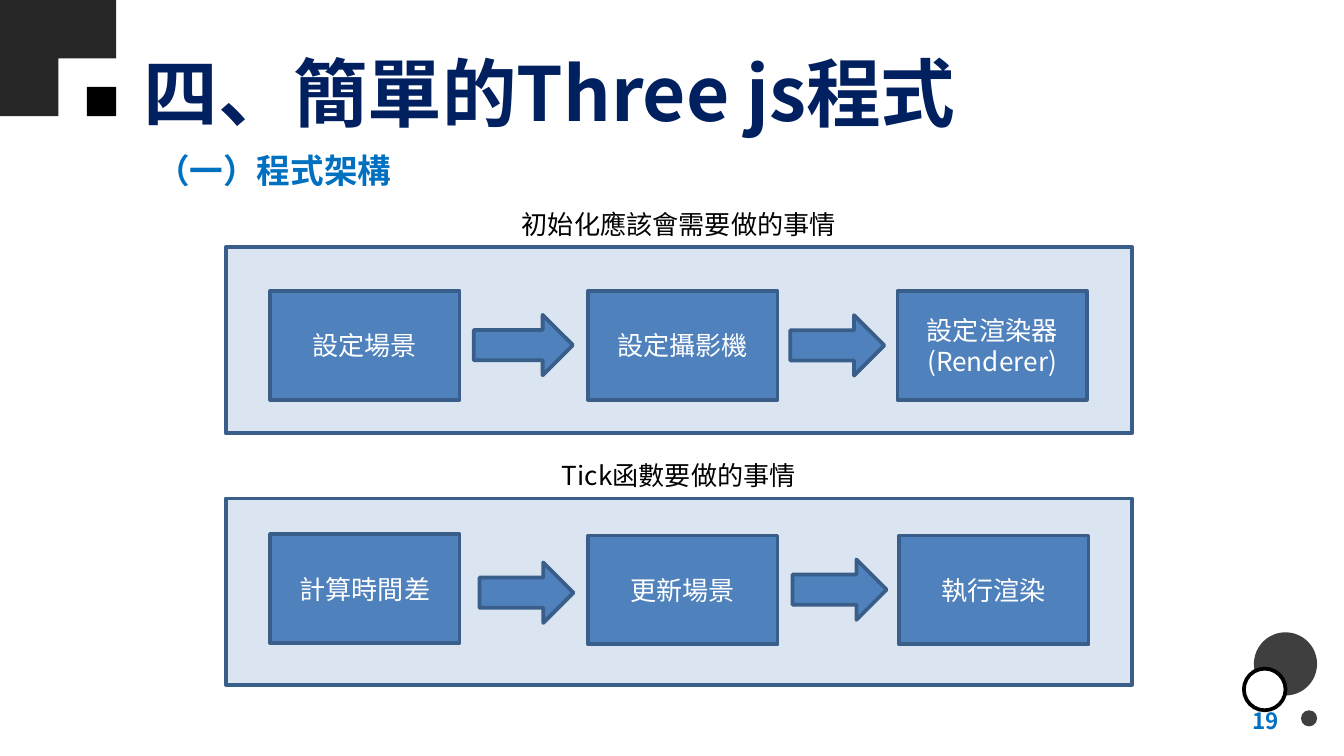
from dataclasses import dataclass

from lxml import etree
from pptx import Presentation
from pptx import util as u
from pptx.dml.color import RGBColor
from pptx.enum import shapes, text
from pptx.oxml.ns import qn
from pptx.shapes.autoshape import Shape
from pptx.slide import Slide

PX = 2286  # EMU per px, 400 px to the inch
FONT = "Noto Sans CJK TC"

NAVY = RGBColor(0x00, 0x20, 0x60)
BLUE = RGBColor(0x00, 0x70, 0xC0)
STEP_BLUE = RGBColor(0x4F, 0x81, 0xBD)
EDGE_BLUE = RGBColor(0x39, 0x5E, 0x89)
PANEL_BLUE = RGBColor(0xDA, 0xE5, 0xF1)
CHARCOAL = RGBColor(0x26, 0x26, 0x26)
GREY = RGBColor(0x3F, 0x3F, 0x3F)
BLACK = RGBColor(0x00, 0x00, 0x00)
WHITE = RGBColor(0xFF, 0xFF, 0xFF)

RECT = shapes.MSO_SHAPE.RECTANGLE
OVAL = shapes.MSO_SHAPE.OVAL
ARROW = shapes.MSO_SHAPE.RIGHT_ARROW
LEFT, CENTER, RIGHT = text.PP_ALIGN.LEFT, text.PP_ALIGN.CENTER, text.PP_ALIGN.RIGHT
TOP, MIDDLE = text.MSO_ANCHOR.TOP, text.MSO_ANCHOR.MIDDLE


@dataclass(frozen=True)
class Frame:
    left: int
    top: int
    width: int
    height: int

    def emu(self) -> list[int]:
        return [n * PX for n in (self.left, self.top, self.width, self.height)]


@dataclass(frozen=True)
class Style:
    size: int
    color: RGBColor
    bold: bool = False
    align: text.PP_ALIGN = LEFT
    anchor: text.MSO_ANCHOR = MIDDLE


@dataclass(frozen=True)
class Step:
    left: int
    top: int
    label: str


@dataclass(frozen=True)
class Flow:
    caption: str
    panel_top: int
    steps: tuple[Step, ...]
    arrows: tuple[Frame, ...]


STEP_STYLE = Style(14, WHITE, align=CENTER)
CAPTION_STYLE = Style(14, BLACK, align=CENTER, anchor=TOP)

FLOWS = (
    Flow("初始化應該會需要做的事情", 736,
         (Step(804, 866, "設定場景"), Step(1750, 866, "設定攝影機"),
          Step(2671, 866, "設定渲染器\n(Renderer)")),
         (Frame(1410, 937, 295, 180), Frame(2352, 938, 280, 180))),
    Flow("Tick函數要做的事情", 1484,
         (Step(804, 1590, "計算時間差"), Step(1750, 1594, "更新場景"),
          Step(2676, 1594, "執行渲染")),
         (Frame(1427, 1674, 280, 180), Frame(2359, 1665, 280, 180))),
)


def write(box: Shape, words: str, style: Style) -> None:
    frame = box.text_frame
    frame.text = words
    frame.word_wrap = True
    frame.vertical_anchor = style.anchor
    for para in frame.paragraphs:
        para.alignment = style.align
        for span in para.runs:
            span.font.name = FONT
            span.font.size = u.Pt(style.size)
            span.font.bold = style.bold
            span.font.color.rgb = style.color
            # East Asian characters take their typeface from a:ea
            properties = span._r.get_or_add_rPr()
            etree.SubElement(properties, qn("a:ea")).set("typeface", FONT)


def add_text(page: Slide, frame: Frame, words: str, style: Style) -> None:
    write(page.shapes.add_textbox(*frame.emu()), words, style)


def add_shape(page: Slide, kind: shapes.MSO_SHAPE, frame: Frame, fill: RGBColor,
              edge: RGBColor | None = None) -> Shape:
    shape = page.shapes.add_shape(kind, *frame.emu())
    shape.shadow.inherit = False
    shape.fill.solid()
    shape.fill.fore_color.rgb = fill
    if edge is None:
        shape.line.fill.background()
    else:
        shape.line.color.rgb = edge
        shape.line.width = u.Pt(2)
    return shape


def add_flow(page: Slide, flow: Flow) -> None:
    add_shape(page, RECT, Frame(672, flow.panel_top, 2698, 554), PANEL_BLUE, EDGE_BLUE)
    add_text(page, Frame(672, flow.panel_top - 136, 2698, 136), flow.caption, CAPTION_STYLE)
    for step in flow.steps:
        box = add_shape(page, RECT, Frame(step.left, step.top, 564, 324),
                        STEP_BLUE, EDGE_BLUE)
        write(box, step.label, STEP_STYLE)
    for arrow in flow.arrows:
        add_shape(page, ARROW, arrow, STEP_BLUE, EDGE_BLUE)


def main() -> None:
    deck = Presentation()
    deck.slide_width, deck.slide_height = 4000 * PX, 2250 * PX
    page = deck.slides.add_slide(deck.slide_layouts[6])

    # Title
    add_text(page, Frame(389, 84, 3611, 376), "四、簡單的Three js程式", Style(40, NAVY, True))

    # Corner squares, overlapping slightly so that no seam shows
    for column, row in ((0, 0), (1, 0), (0, 1)):
        add_shape(page, RECT, Frame(column * 172, row * 172, 174, 174), CHARCOAL)
    add_shape(page, RECT, Frame(259, 259, 87, 87), BLACK)

    # Corner circles and page number
    add_shape(page, OVAL, Frame(3732, 1882, 188, 188), GREY)
    add_shape(page, OVAL, Frame(3872, 2114, 48, 48), GREY)
    add_shape(page, OVAL, Frame(3702, 1990, 124, 124), WHITE, BLACK)
    add_text(page, Frame(2914, 2086, 932, 120), "19", Style(12, BLUE, True, RIGHT))

    # Section heading
    add_text(page, Frame(425, 412, 1420, 188), "（一）程式架構", Style(18, BLUE, True))

    # Program flows
    for flow in FLOWS:
        add_flow(page, flow)

    deck.save("out.pptx")


if __name__ == "__main__":
    main()
